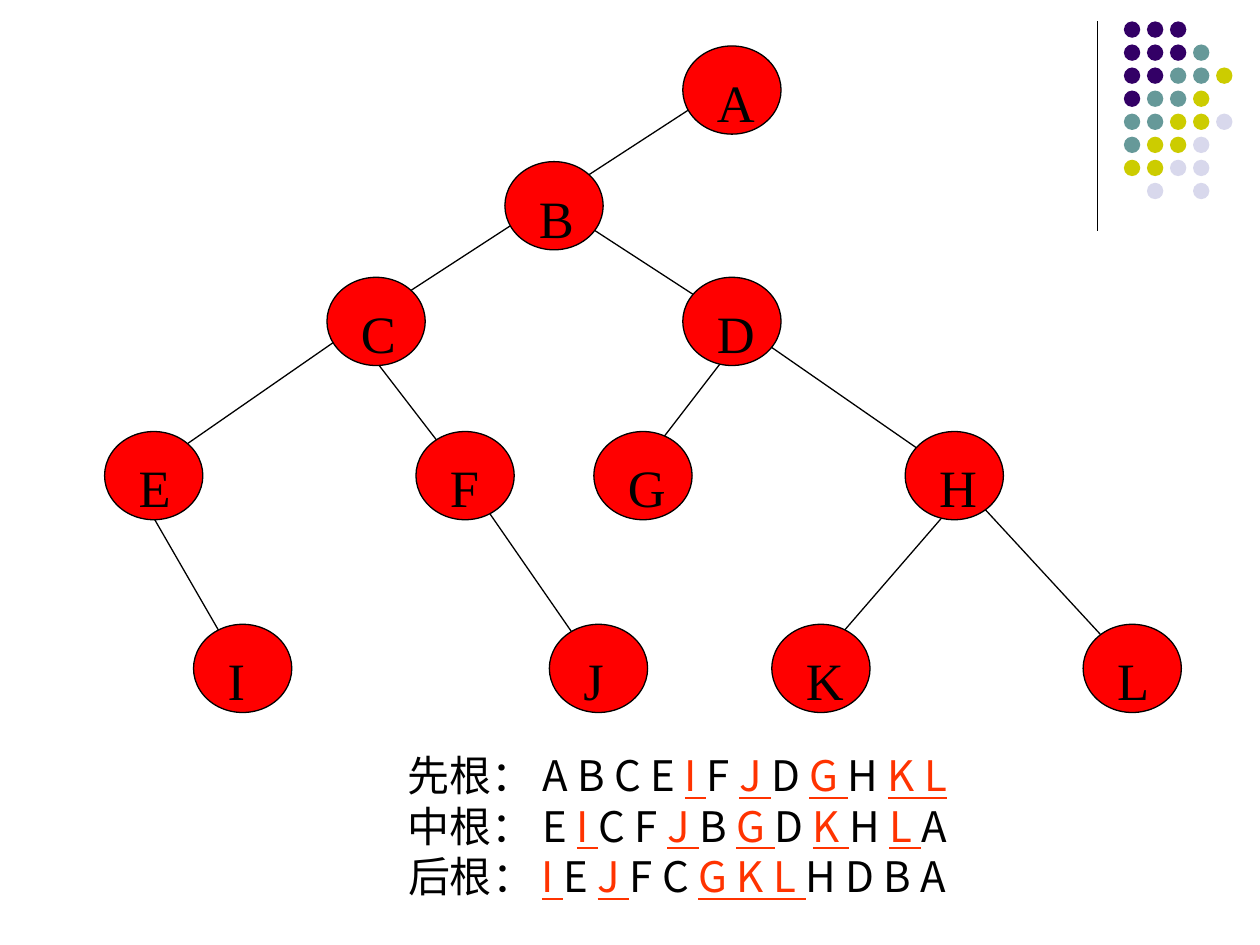
from lxml import etree
from pptx import Presentation
from pptx import util as u
from pptx.dml.color import RGBColor
from pptx.enum import shapes, text
from pptx.oxml.ns import qn

COLORS = {
    "black": "000000", "node": "FF0000", "leaf": "FF3300",
    "P": "330066", "T": "669999", "Y": "CCCC00", "L": "D8D8EC",
}

# Tree: node -> (column, row); edge -> leaves the parent's centre or one row below
COL, ROW = 0.353, 0.306
ORIGIN_X, ORIGIN_Y = 1.22, 0.715
NODE_W, NODE_H = 0.78, 0.7
NODES = {
    "A": (13, 0), "B": (9, 3), "C": (5, 6), "D": (13, 6),
    "E": (0, 10), "F": (7, 10), "G": (11, 10), "H": (18, 10),
    "I": (2, 15), "J": (10, 15), "K": (15, 15), "L": (22, 15),
}
CENTRE_EDGES = ["AB", "BC", "BD", "CE", "DH", "FJ", "HL"]
LOWER_EDGES = ["CF", "DG", "EI", "HK"]

# Corner ornament: one letter per dot colour
DOTS = ["PPP", "PPPT", "PPTTY", "PTTY", "TTYYL", "TYYL", "YYLL", " L L"]
DOT, DOT_STEP = 0.13, 0.183

# Traversals: (label, size of the gap, order); leaves stand between bars
TRAVERSALS = [
    ("先根：", 24, "A B C E |I |F |J |D |G |H |K L"),
    ("中根：", 24, "E |I |C F |J |B |G |D |K |H |L |A"),
    ("后根：", 20, "|I |E |J |F C |G K L |H D B A"),
]


def rgb(name):
    return RGBColor.from_string(COLORS[name])


def add_line(slide, x1, y1, x2, y2):
    line = slide.shapes.add_connector(
        shapes.MSO_CONNECTOR.STRAIGHT, *map(u.Inches, (x1, y1, x2, y2)))
    line.line.color.rgb = rgb("black")
    line.line.width = u.Pt(0.75)
    etree.SubElement(line._element.spPr, qn("a:effectLst"))


def add_ellipse(slide, x, y, w, h, fill, outlined=False):
    sp = slide.shapes.add_shape(
        shapes.MSO_SHAPE.OVAL, *map(u.Inches, (x, y, w, h)))
    sp.shadow.inherit = False
    sp.fill.solid()
    sp.fill.fore_color.rgb = rgb(fill)
    if outlined:
        sp.line.color.rgb = rgb("black")
        sp.line.width = u.Pt(0.75)
    else:
        sp.line.fill.background()


def add_box(slide, x, y, w, h):
    sp = slide.shapes.add_textbox(*map(u.Inches, (x, y, w, h)))
    tf = sp.text_frame
    tf.word_wrap = True
    tf.vertical_anchor = text.MSO_ANCHOR.TOP
    tf.margin_left = tf.margin_right = tf.margin_top = tf.margin_bottom = 0
    return sp


def add_text(p, content, size=24, font="Noto Sans CJK SC", color="black",
             underline=False):
    r = p.add_run()
    r.text = content
    r.font.size = u.Pt(size)
    r.font.name = font
    r.font.color.rgb = rgb(color)
    r.font.underline = underline
    ea = etree.SubElement(r._r.get_or_add_rPr(), qn("a:ea"))
    ea.set("typeface", font)


def add_ornament(slide):
    add_line(slide, 8.71, 0.17, 8.71, 1.83)
    for row, colors in enumerate(DOTS):
        for col, color in enumerate(colors):
            if color != " ":
                add_ellipse(slide, 8.92 + col * DOT_STEP,
                            0.17 + row * DOT_STEP, DOT, DOT, color)


def centre(name):
    col, row = NODES[name]
    return ORIGIN_X + col * COL, ORIGIN_Y + row * ROW


def add_edge(slide, parent, child, drop=0):
    (x1, y1), (x2, y2) = centre(parent), centre(child)
    shift = 0.04  # edges meet slightly up and left of the centres
    add_line(slide, x1 - shift, y1 - shift + drop, x2 - shift, y2 - shift)


def add_node(slide, name):
    x, y = centre(name)
    add_ellipse(slide, x - NODE_W / 2, y - NODE_H / 2, NODE_W, NODE_H,
                "node", outlined=True)
    label = add_box(slide, x - 0.12, y - 0.16, 0.35, 0.43)
    add_text(label.text_frame.paragraphs[0], name, size=30,
             font="Times New Roman")


def add_traversals(slide):
    p = add_box(slide, 0.51, 5.95, 9.73, 1.2).text_frame.paragraphs[0]
    p.alignment = text.PP_ALIGN.CENTER
    p.line_spacing = u.Pt(28.8)
    for i, (label, gap, order) in enumerate(TRAVERSALS):
        if i:
            p.add_line_break()
        add_text(p, label)
        add_text(p, " ", size=gap)
        for j, part in enumerate(order.split("|")):
            if part:
                leaf = j % 2 == 1
                add_text(p, part, color="leaf" if leaf else "black",
                         underline=leaf)


def main():
    prs = Presentation()
    prs.slide_width, prs.slide_height = u.Inches(10), u.Inches(7.5)
    slide = prs.slides.add_slide(prs.slide_layouts[6])

    add_ornament(slide)

    # Edges lie behind the nodes
    for parent, child in CENTRE_EDGES:
        add_edge(slide, parent, child)
    for parent, child in LOWER_EDGES:
        add_edge(slide, parent, child, drop=ROW)
    for name in NODES:
        add_node(slide, name)

    add_traversals(slide)
    prs.save("out.pptx")


if __name__ == "__main__":
    main()
